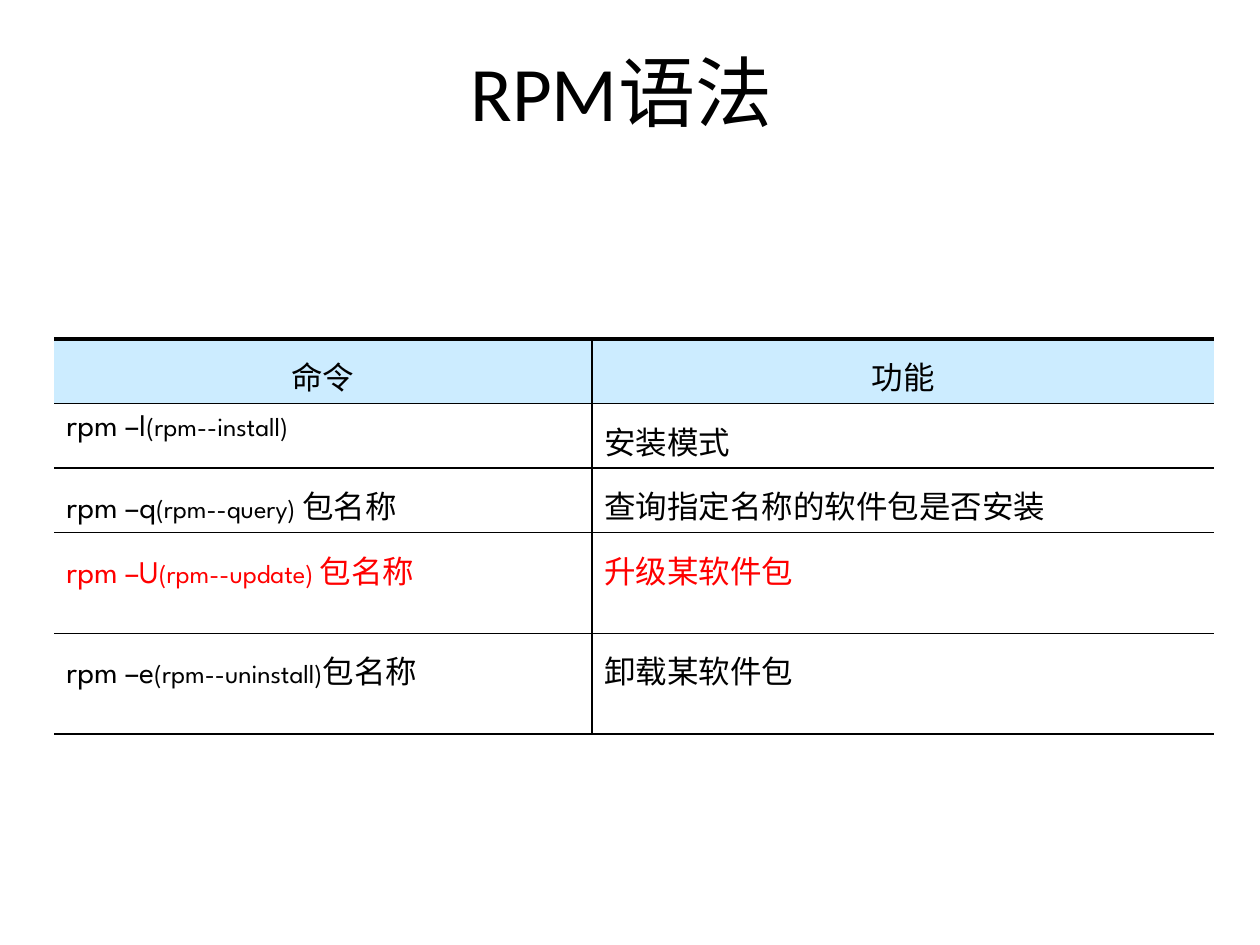
from lxml import etree
from pptx import Presentation
from pptx import util as u
from pptx.dml.color import RGBColor
from pptx.enum import text
from pptx.oxml.ns import qn

BLACK = RGBColor(0x00, 0x00, 0x00)
RED = RGBColor(0xFF, 0x00, 0x00)
HEADER = RGBColor(0xCC, 0xEC, 0xFF)

COL_WIDTHS = [10.84, 12.55]
ROW_HEIGHTS = [1.12, 1.12, 1.12, 2.03, 2.03]
HEADINGS = ["命令", "功能"]
COMMANDS = [
    ("rpm –I", "(rpm--install)", "", "安装模式", BLACK),
    ("rpm –q", "(rpm--query) ", "包名称", "查询指定名称的软件包是否安装", BLACK),
    ("rpm –U", "(rpm--update) ", "包名称", "升级某软件包", RED),
    ("rpm –e", "(rpm--uninstall)", "包名称", "卸载某软件包", BLACK),
]


def add_text(p, content, font="League Spartan", size=18, color=BLACK):
    r = p.add_run()
    r.text = content
    r.font.name = font
    r.font.size = u.Pt(size)
    r.font.color.rgb = color


def set_border(cell, side, width):
    ln = etree.SubElement(cell._tc.get_or_add_tcPr(), qn(f"a:ln{side}"))
    if not width:
        etree.SubElement(ln, qn("a:noFill"))
        return
    ln.set("w", str(u.Pt(width)))
    fill = etree.SubElement(ln, qn("a:solidFill"))
    etree.SubElement(fill, qn("a:srgbClr"), val=str(BLACK))


class Deck:
    def __init__(self, prs):
        self.prs = prs
        self.s = prs.slides.add_slide(prs.slide_layouts[5])

    def title(self, content, left, top, width, height):
        sp = self.s.shapes.title
        sp.left, sp.top = u.Cm(left), u.Cm(top)
        sp.width, sp.height = u.Cm(width), u.Cm(height)
        tf = sp.text_frame
        tf.vertical_anchor = text.MSO_ANCHOR.MIDDLE
        p = tf.paragraphs[0]
        p.alignment = text.PP_ALIGN.CENTER
        add_text(p, content, font="Calibri", size=44)

    def table(self, left, top, widths, heights):
        frame = self.s.shapes.add_table(
            len(heights), len(widths), u.Cm(left), u.Cm(top),
            u.Cm(sum(widths)), u.Cm(sum(heights)))
        tbl = frame.table
        tbl.first_row = tbl.horz_banding = False
        for col, width in zip(tbl.columns, widths):
            col.width = u.Cm(width)
        for row, height in zip(tbl.rows, heights):
            row.height = u.Cm(height)
        return tbl

    def cell(self, tbl, row, col, runs, color=BLACK):
        cell = tbl.cell(row, col)
        cell.margin_left = cell.margin_right = u.Cm(0.25)
        cell.margin_top = cell.margin_bottom = u.Cm(0.1)
        last = len(tbl.columns) - 1
        set_border(cell, "L", 1 if col > 0 else 0)
        set_border(cell, "R", 1 if col < last else 0)
        set_border(cell, "T", 1 if row else 2.25)
        set_border(cell, "B", 1)
        p = cell.text_frame.paragraphs[0]
        p.line_spacing = 1.2
        if row == 0:
            cell.fill.solid()
            cell.fill.fore_color.rgb = HEADER
            p.alignment = text.PP_ALIGN.CENTER
        else:
            cell.fill.background()
            p.alignment = text.PP_ALIGN.LEFT
        for content, size in runs:
            if content:
                add_text(p, content, size=size, color=color)


def main():
    prs = Presentation()
    prs.slide_width, prs.slide_height = u.Cm(25.4), u.Cm(19.05)
    deck = Deck(prs)
    deck.title("RPM语法", 1.12, 0.53, 22.81, 2.59)
    tbl = deck.table(1.09, 6.83, COL_WIDTHS, ROW_HEIGHTS)
    for col, heading in enumerate(HEADINGS):
        deck.cell(tbl, 0, col, [(heading, 18)])
    for row, (command, option, package, use, color) in enumerate(COMMANDS, 1):
        deck.cell(tbl, row, 0, [(command, 18), (option, 15), (package, 18)], color)
        deck.cell(tbl, row, 1, [(use, 18)], color)
    prs.save("out.pptx")


if __name__ == "__main__":
    main()
